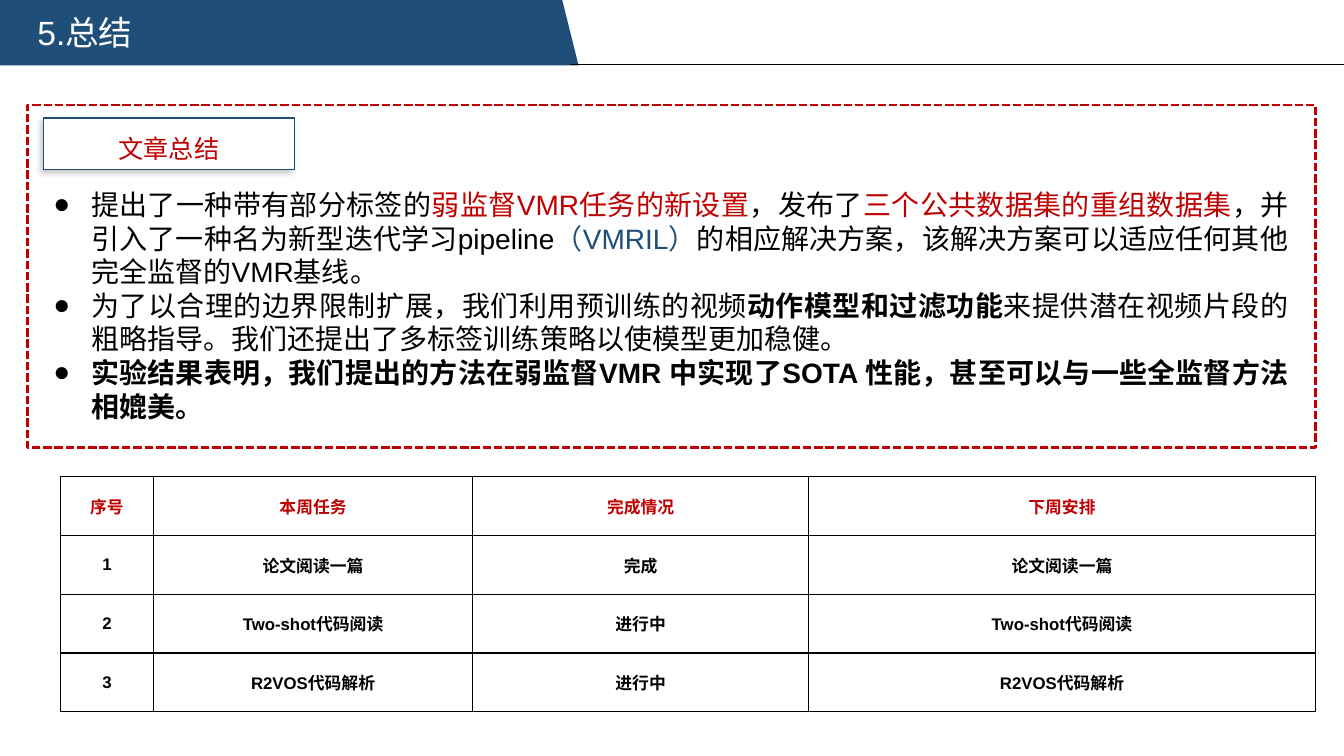
from pptx import Presentation
from pptx.dml.color import RGBColor
from pptx.enum.dml import MSO_LINE_DASH_STYLE as DASH
from pptx.enum.shapes import MSO_CONNECTOR as CONNECTOR, MSO_SHAPE as SHAPE
from pptx.enum.text import MSO_ANCHOR as ANCHOR, MSO_AUTO_SIZE as AUTO_SIZE, PP_ALIGN as ALIGN
from pptx.oxml import parse_xml
from pptx.oxml.ns import nsdecls
from pptx.util import Pt

NAVY = RGBColor(0x1F, 0x4E, 0x78)
BLUE = RGBColor(0x1F, 0x4E, 0x79)
RED = RGBColor(0xC0, 0x00, 0x00)
BLACK = RGBColor(0x00, 0x00, 0x00)
WHITE = RGBColor(0xFF, 0xFF, 0xFF)
FONT = "Arial"

SUMMARY = [
    [("提出了一种带有部分标签的", BLACK, False),
     ("弱监督VMR任务的新设置", RED, False),
     ("，发布了", BLACK, False),
     ("三个公共数据集的重组数据集", RED, False),
     ("，并引入了一种名为新型迭代学习pipeline", BLACK, False),
     ("（VMRIL）", BLUE, False),
     ("的相应解决方案，该解决方案可以适应任何其他完全监督的VMR基线。", BLACK, False)],
    [("为了以合理的边界限制扩展，我们利用预训练的视频", BLACK, False),
     ("动作模型和过滤功能", BLACK, True),
     ("来提供潜在视频片段的粗略指导。我们还提出了多标签训练策略以使模型更加稳健。", BLACK, False)],
    [("实验结果表明，我们提出的方法在弱监督VMR 中实现了SOTA 性能，"
      "甚至可以与一些全监督方法相媲美。", BLACK, True)],
]
TASKS = [
    ["序号", "本周任务", "完成情况", "下周安排"],
    ["1", "论文阅读一篇", "完成", "论文阅读一篇"],
    ["2", "Two-shot代码阅读", "进行中", "Two-shot代码阅读"],
    ["3", "R2VOS代码解析", "进行中", "R2VOS代码解析"],
]
COLUMN_WIDTHS = [66.25, 228.25, 239.75, 362.25]
ROW_HEIGHT = 42


def set_format(target, values):
    """Set every attribute named in a dict of format values."""
    for name, value in values.items():
        setattr(target, name, value)


def add_run(paragraph, text, size, color, bold=False):
    """Add a formatted run to a paragraph."""
    run = paragraph.add_run()
    run.text = text
    set_format(run.font, {"name": FONT, "size": Pt(size), "bold": bold})
    run.font.color.rgb = color


def place_placeholder(shape, left, top, width, height):
    """Move a placeholder to the front and let it grow with its text."""
    set_format(shape, {"left": Pt(left), "top": Pt(top),
                       "width": Pt(width), "height": Pt(height)})
    set_format(shape.text_frame, {"word_wrap": True, "vertical_anchor": ANCHOR.TOP,
                                  "auto_size": AUTO_SIZE.SHAPE_TO_FIT_TEXT})
    shape.element.getparent().append(shape.element)


def add_box(slide, kind, left, top, width, height, fill=None, line=None, line_width=1):
    """Add a preset shape with an optional fill and outline."""
    shape = slide.shapes.add_shape(kind, Pt(left), Pt(top), Pt(width), Pt(height))
    shape.shadow.inherit = False
    if fill is None:
        shape.fill.background()
    else:
        shape.fill.solid()
        shape.fill.fore_color.rgb = fill
    if line is None:
        shape.line.fill.background()
    else:
        shape.line.color.rgb = line
        shape.line.width = Pt(line_width)
    return shape


def add_header(slide):
    """Add the slanted banner, its rule and the slide title."""
    banner = add_box(slide, SHAPE.PARALLELOGRAM, -13, 0, 426.25, 46.75, NAVY)
    banner.rotation = 180
    banner.element.spPr.xfrm.set("flipV", "1")
    rule = slide.shapes.add_connector(CONNECTOR.STRAIGHT, Pt(407.5), Pt(46), Pt(960), Pt(46))
    rule.line.color.rgb = BLACK
    rule.line.width = Pt(1)
    rule.element.spPr.append(parse_xml(f"<a:effectLst {nsdecls('a')}/>"))
    title = slide.shapes.title
    place_placeholder(title, 19.5, 5, 366.5, 36.25)
    paragraph = title.text_frame.paragraphs[0]
    paragraph.alignment = ALIGN.LEFT
    add_run(paragraph, "5.总结", 24, WHITE)


def add_label(slide, text):
    """Add the framed section label with its soft shadow."""
    label = add_box(slide, SHAPE.RECTANGLE, 31, 84.25, 179.25, 36.75, WHITE, NAVY)
    label.element.spPr.remove(label.element.spPr.find(".//{*}effectLst"))
    label.element.spPr.append(parse_xml(
        f'<a:effectLst {nsdecls("a")}><a:outerShdw blurRad="{Pt(4)}" dist="{Pt(3)}" '
        f'dir="{135 * 60000}" algn="tr" rotWithShape="0"><a:srgbClr val="{BLACK}">'
        '<a:alpha val="20000"/></a:srgbClr></a:outerShdw></a:effectLst>'))
    label.text_frame.vertical_anchor = ANCHOR.MIDDLE
    paragraph = label.text_frame.paragraphs[0]
    set_format(paragraph, {"alignment": ALIGN.CENTER, "line_spacing": 1.3})
    add_run(paragraph, text, 18, RED)


def add_bullets(body, items):
    """Fill the body placeholder with justified, bulleted paragraphs."""
    place_placeholder(body, 31, 130.25, 896.5, 225.25)
    frame = body.text_frame
    for index, runs in enumerate(items):
        paragraph = frame.add_paragraph() if index else frame.paragraphs[0]
        set_format(paragraph, {"alignment": ALIGN.JUSTIFY, "line_spacing": 1.0,
                               "space_before": Pt(0), "space_after": Pt(0)})
        properties = paragraph._p.get_or_add_pPr()
        properties.set("marL", str(Pt(27)))
        properties.set("indent", str(Pt(-27)))
        properties.append(parse_xml(f'<a:buFont {nsdecls("a")} typeface="{FONT}"/>'))
        properties.append(parse_xml(f'<a:buChar {nsdecls("a")} char="●"/>'))
        for text, color, bold in runs:
            add_run(paragraph, text, 20, color, bold)


def format_cell(cell, text, color):
    """Write a centred cell with a white fill and black borders."""
    properties = cell._tc.get_or_add_tcPr()
    for side in "LRTB":
        properties.append(parse_xml(
            f'<a:ln{side} {nsdecls("a")} w="{Pt(1)}"><a:solidFill>'
            f'<a:srgbClr val="{BLACK}"/></a:solidFill></a:ln{side}>'))
    cell.fill.solid()
    cell.fill.fore_color.rgb = WHITE
    set_format(cell, {"vertical_anchor": ANCHOR.MIDDLE, "margin_left": Pt(5),
                      "margin_right": Pt(5), "margin_top": 0, "margin_bottom": 0})
    paragraph = cell.text_frame.paragraphs[0]
    paragraph.alignment = ALIGN.CENTER
    add_run(paragraph, text, 12, color, True)


def add_task_table(slide, rows):
    """Add the weekly task table."""
    table = slide.shapes.add_table(
        len(rows), len(COLUMN_WIDTHS), Pt(43.25), Pt(340.5),
        Pt(sum(COLUMN_WIDTHS)), Pt(ROW_HEIGHT * len(rows))).table
    for column, width in zip(table.columns, COLUMN_WIDTHS):
        column.width = Pt(width)
    for row_index, texts in enumerate(rows):
        for column_index, text in enumerate(texts):
            format_cell(table.cell(row_index, column_index), text,
                        BLACK if row_index else RED)


def main():
    """Build the summary slide and save it."""
    presentation = Presentation()
    set_format(presentation, {"slide_width": Pt(960), "slide_height": Pt(540)})
    slide = presentation.slides.add_slide(presentation.slide_layouts[1])
    add_header(slide)
    add_label(slide, "文章总结")
    frame = add_box(slide, SHAPE.RECTANGLE, 19.5, 75, 920.25, 244.75, line=RED, line_width=2)
    frame.line.dash_style = DASH.SQUARE_DOT
    add_task_table(slide, TASKS)
    add_bullets(slide.placeholders[1], SUMMARY)
    presentation.save("out.pptx")


if __name__ == "__main__":
    main()
